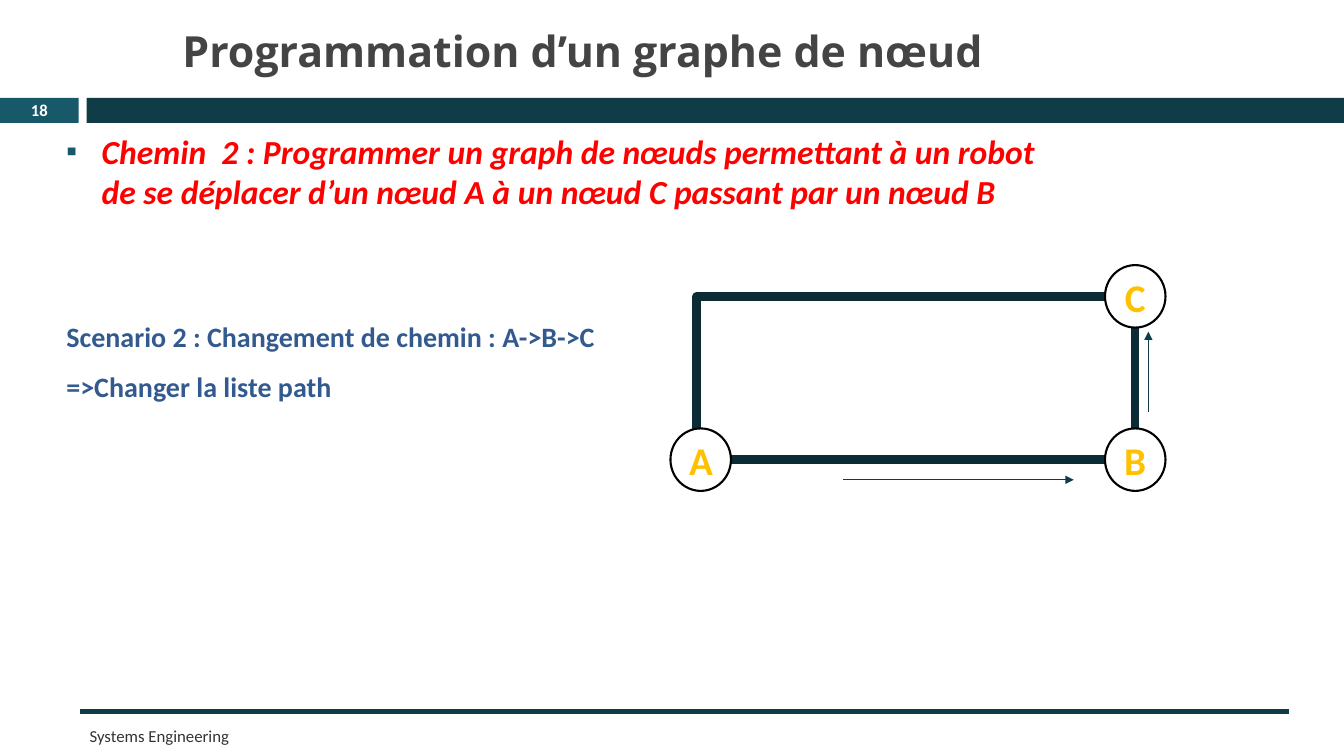
from dataclasses import dataclass

from lxml import etree
from pptx import Presentation
from pptx.dml.color import RGBColor
from pptx.enum.shapes import MSO_CONNECTOR, MSO_SHAPE
from pptx.enum.text import MSO_ANCHOR, MSO_AUTO_SIZE, PP_ALIGN
from pptx.oxml.ns import qn
from pptx.shapes.autoshape import Shape
from pptx.slide import Slide
from pptx.text.text import TextFrame
from pptx.util import Inches, Pt

RECTANGLE, OVAL = MSO_SHAPE.RECTANGLE, MSO_SHAPE.OVAL
STRAIGHT = MSO_CONNECTOR.STRAIGHT
TOP, MIDDLE = MSO_ANCHOR.TOP, MSO_ANCHOR.MIDDLE
LEFT, CENTER, JUSTIFY = PP_ALIGN.LEFT, PP_ALIGN.CENTER, PP_ALIGN.JUSTIFY
NO_AUTOFIT = MSO_AUTO_SIZE.NONE

TEAL, DARK_TEAL, TRACK = "175969", "103C47", "0C2C35"
WHITE, BLACK = "FFFFFF", "000000"
NODE_WIDTH, NODE_HEIGHT = 0.6, 0.62


@dataclass(frozen=True)
class Frame:
    left: float
    top: float
    width: float
    height: float


@dataclass(frozen=True)
class TextStyle:
    size: float
    color: str
    font: str = "Calibri"
    bold: bool = True
    italic: bool = False
    align: PP_ALIGN = LEFT
    anchor: MSO_ANCHOR = MIDDLE
    spacing: float = 1.0


@dataclass(frozen=True)
class Label:
    frame: Frame
    lines: tuple[str, ...]
    style: TextStyle


@dataclass(frozen=True)
class Segment:
    start: tuple[float, float]
    end: tuple[float, float]
    width: float
    arrow: bool = False


@dataclass(frozen=True)
class Node:
    name: str
    left: float
    top: float


TITLE_FRAME = Frame(1.71, 0.14, 8.14, 0.71)
TITLE_STYLE = TextStyle(30.6, "444444", font="Open Sans")
NODE_STYLE = TextStyle(28, "FFC000", align=CENTER)
BARS = (
    (Frame(0, 0.97, 0.78, 0.25), TEAL),
    (Frame(0.86, 0.97, 12.47, 0.25), DARK_TEAL),
)
LOOP = Frame(6.91, 2.94, 4.35, 1.62)
NODES = (Node("A", 6.65, 4.25), Node("B", 10.96, 4.25), Node("C", 10.96, 2.63))
SEGMENTS = (
    Segment((0.79, 7.06), (12.78, 7.06), 4),
    Segment((8.36, 4.76), (10.65, 4.76), 0.79, arrow=True),
    Segment((11.39, 4.09), (11.39, 3.29), 0.79, arrow=True),
)
LABELS = (
    Label(Frame(0, 0.96, 0.78, 0.27), ("18",), TextStyle(11.9, WHITE, align=CENTER)),
    Label(
        Frame(0.79, 7.14, 7.56, 0.31),
        ("Systems Engineering",),
        TextStyle(12, "343434", bold=False),
    ),
    Label(
        Frame(0.56, 2.95, 6.67, 1.06),
        ("Scenario 2 : Changement de chemin : A->B->C", "=>Changer la liste path"),
        TextStyle(20, "335A8F", align=JUSTIFY, anchor=TOP, spacing=1.5),
    ),
)
OBJECTIVE = Label(
    Frame(0.56, 1.25, 10.18, 0.91),
    (
        "Chemin  2 : Programmer un graph de nœuds permettant à un robot "
        "de se déplacer d’un nœud A à un nœud C passant par un nœud B",
    ),
    TextStyle(24, "FF0000", italic=True, anchor=TOP),
)


def rgb(value: str) -> RGBColor:
    return RGBColor.from_string(value)


def box_of(frame: Frame) -> tuple[int, int, int, int]:
    return (
        Inches(frame.left), Inches(frame.top),
        Inches(frame.width), Inches(frame.height),
    )


def write_text(frame: TextFrame, lines: tuple[str, ...], style: TextStyle) -> None:
    frame.word_wrap = True
    frame.auto_size = NO_AUTOFIT
    frame.vertical_anchor = style.anchor
    frame.text = "\n".join(lines)
    for para in frame.paragraphs:
        para.alignment = style.align
        para.line_spacing = style.spacing
        font = para.font
        font.name, font.size = style.font, Pt(style.size)
        font.bold, font.italic = style.bold, style.italic
        font.color.rgb = rgb(style.color)


def add_label(page: Slide, label: Label) -> Shape:
    box = page.shapes.add_textbox(*box_of(label.frame))
    write_text(box.text_frame, label.lines, label.style)
    return box


def add_objective(page: Slide) -> None:
    box = add_label(page, OBJECTIVE)
    properties = box.text_frame.paragraphs[0]._p.get_or_add_pPr()
    properties.set("marL", str(Inches(0.35)))
    properties.set("indent", str(Inches(-0.35)))
    bullet_color = etree.Element(qn("a:buClr"))
    etree.SubElement(bullet_color, qn("a:srgbClr"), val=TEAL)
    bullet_parts = (
        bullet_color,
        etree.Element(qn("a:buSzPct"), val="90000"),
        etree.Element(qn("a:buFont"), typeface="Calibri"),
        etree.Element(qn("a:buChar"), char="▪"),
    )
    defaults = properties.find(qn("a:defRPr"))
    for part in bullet_parts:
        defaults.addprevious(part)


def add_outline(
    page: Slide, kind: MSO_SHAPE, frame: Frame,
    fill: str | None = None, line: str | None = None, width: float = 0,
) -> Shape:
    shape = page.shapes.add_shape(kind, *box_of(frame))
    shape.shadow.inherit = False
    if fill:
        shape.fill.solid()
        shape.fill.fore_color.rgb = rgb(fill)
    else:
        shape.fill.background()
    if line:
        shape.line.color.rgb = rgb(line)
        shape.line.width = Pt(width)
    else:
        shape.line.fill.background()
    return shape


def add_segment(page: Slide, segment: Segment) -> None:
    ends = [Inches(value) for value in segment.start + segment.end]
    connector = page.shapes.add_connector(STRAIGHT, *ends)
    connector.line.color.rgb = rgb(DARK_TEAL)
    connector.line.width = Pt(segment.width)
    if segment.arrow:
        etree.SubElement(connector.line._get_or_add_ln(), qn("a:tailEnd"), type="triangle")
    etree.SubElement(connector._element.spPr, qn("a:effectLst"))


def add_node(page: Slide, node: Node) -> None:
    frame = Frame(node.left, node.top, NODE_WIDTH, NODE_HEIGHT)
    circle = add_outline(page, OVAL, frame, WHITE, BLACK, 1.5)
    write_text(circle.text_frame, (node.name,), NODE_STYLE)


def main() -> None:
    deck = Presentation()
    deck.slide_width, deck.slide_height = Inches(13.33), Inches(7.5)
    page = deck.slides.add_slide(deck.slide_layouts[5])
    title = page.shapes.title
    title.left, title.top, title.width, title.height = box_of(TITLE_FRAME)
    write_text(title.text_frame, ("Programmation d’un graphe de nœud",), TITLE_STYLE)
    for frame, color in BARS:
        add_outline(page, RECTANGLE, frame, color)
    add_outline(page, RECTANGLE, LOOP, line=TRACK, width=6)
    for node in NODES:
        add_node(page, node)
    for segment in SEGMENTS:
        add_segment(page, segment)
    for label in LABELS:
        add_label(page, label)
    add_objective(page)
    deck.save("out.pptx")


if __name__ == "__main__":
    main()
